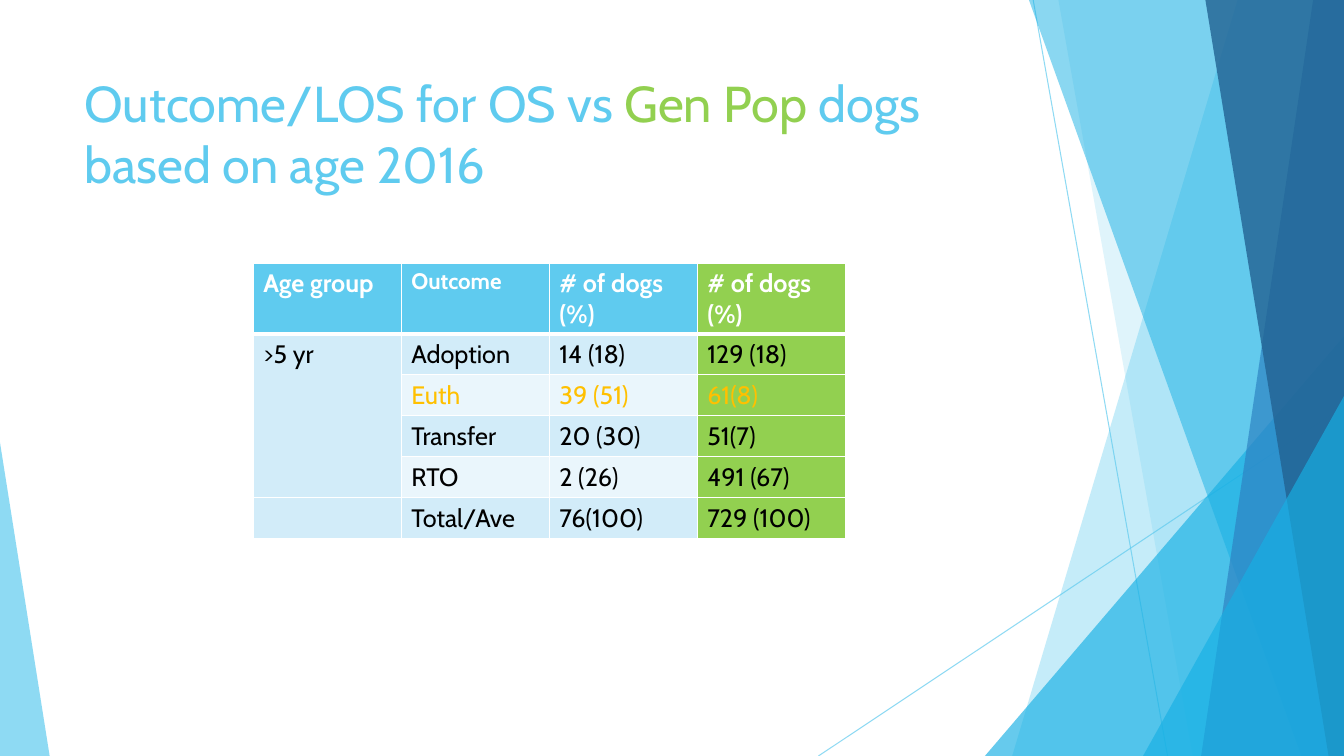
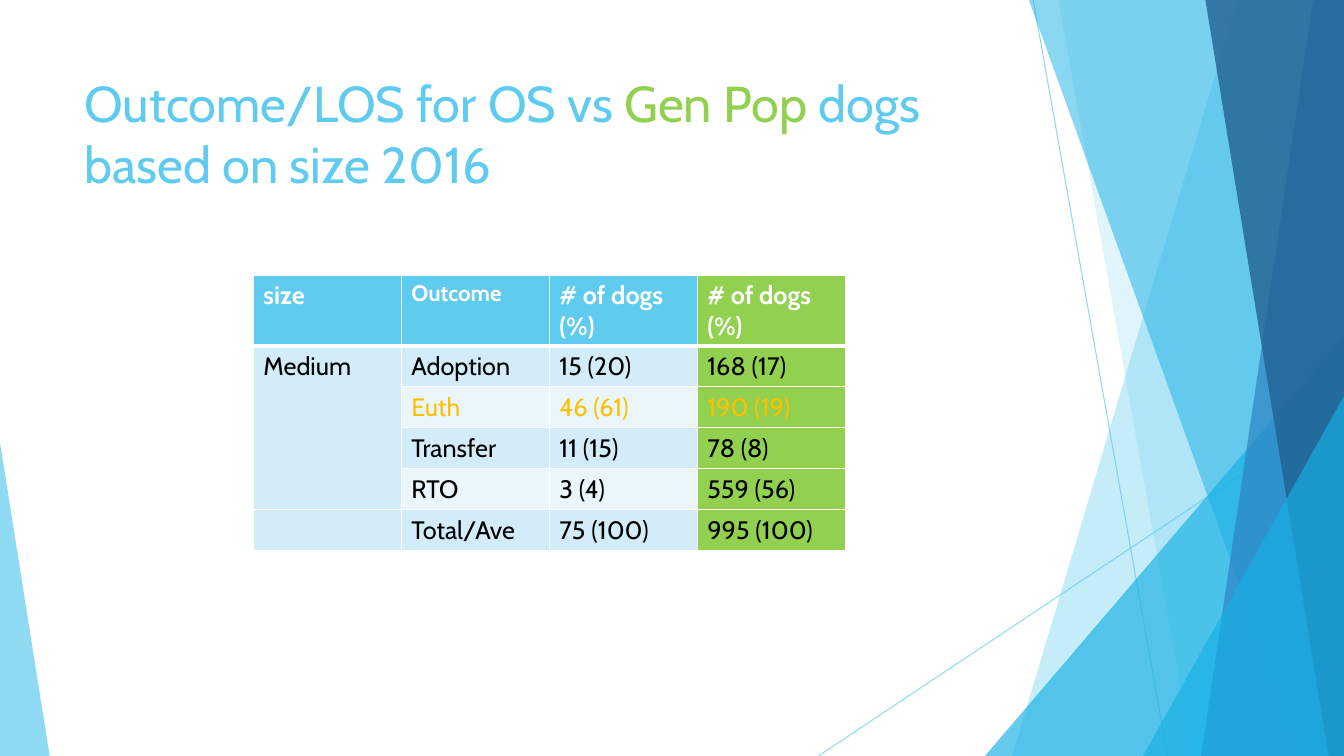
from lxml import etree
from pptx import Presentation
from pptx.dml.color import RGBColor
from pptx.enum.shapes import MSO_CONNECTOR, MSO_SHAPE
from pptx.oxml.ns import qn
from pptx.util import Pt

LINE = MSO_CONNECTOR.STRAIGHT
TRI = MSO_SHAPE.ISOSCELES_TRIANGLE
FONT = "Cabin"
WIDE, HIGH = 960, 540

HEX = {
    "sky": "5FCBEF", "cyan": "17B0E4", "blue": "2E83C3", "navy": "226292",
    "green": "92D050", "gold": "FFC000", "pale": "D2ECF9", "mist": "EAF6FC",
    "white": "FFFFFF", "black": "000000",
}

SLIDES = [
    {
        "topic": "age", "top": 188, "head": "Age group", "group": ">5 yr",
        "rows": [
            ("Adoption", "14 (18)", "129 (18)"),
            ("Euth", "39 (51)", "61(8)"),
            ("Transfer", "20 (30)", "51(7)"),
            ("RTO", "2 (26)", "491 (67)"),
            ("Total/Ave", "76(100)", "729 (100)"),
        ],
    },
    {
        "topic": "size", "top": 196.6, "head": "size", "group": "Medium",
        "rows": [
            ("Adoption", "15 (20)", "168 (17)"),
            ("Euth", "46 (61)", "190 (19)"),
            ("Transfer", "11 (15)", "78 (8)"),
            ("RTO", "3 (4)", "559 (56)"),
            ("Total/Ave", "75 (100)", "995 (100)"),
        ],
    },
]

RAYS = [(738, 0, 834, HIGH), (WIDE, 290, 584.6, HIGH)]
DECOR = [
    ("band", (884, 723), "sky", 36),
    ("band", (756, 852), "sky", 20),
    ("peak", (703.5, 240, 256.5, 1), "cyan", 66),
    ("band", (735, 929.5), "cyan", 50),
    ("band", (938, 858), "blue", 70),
    ("band", (861, 949), "navy", 80),
    ("peak", (816.5, 283, 143.5, 1), "cyan", 66),
    ("peak", (0, 316, 35.5, 0), "sky", 70),
]

COL, HEAD, ROW = 105.7, 50, 29.3


def rgb(name):
    return RGBColor.from_string(HEX[name])


def fade(node, part):
    tone = next(node.iter(qn("a:srgbClr")))
    etree.SubElement(tone, qn("a:alpha"), val=str(part * 1000))


def add_ray(slide, ends):
    ray = slide.shapes.add_connector(LINE, *map(Pt, ends))
    ray.line.color.rgb = rgb("sky")
    ray.line.width = Pt(0.75)
    props = ray._element.spPr
    fade(props, 70)
    etree.SubElement(props, qn("a:effectLst"))


def add_band(slide, top, base):
    path = slide.shapes.build_freeform(Pt(top), 0)
    corners = [(WIDE, 0), (WIDE, HIGH), (base, HIGH)]
    path.add_line_segments([(Pt(x), Pt(y)) for x, y in corners])
    return path.convert_to_shape()


def add_peak(slide, left, top, width, tip):
    box = map(Pt, (left, top, width, HIGH - top))
    peak = slide.shapes.add_shape(TRI, *box)
    peak.adjustments[0] = tip
    return peak


def add_decor(slide):
    for ends in RAYS:
        add_ray(slide, ends)
    makers = {"band": add_band, "peak": add_peak}
    for kind, place, color, part in DECOR:
        shape = makers[kind](slide, *place)
        shape.shadow.inherit = False
        shape.fill.solid()
        shape.fill.fore_color.rgb = rgb(color)
        shape.line.fill.background()
        fade(shape._element.spPr, part)


def add_title(slide, topic):
    box = slide.shapes.add_textbox(Pt(53.3), Pt(48), Pt(677), Pt(104))
    frame = box.text_frame
    frame.word_wrap = True
    para = frame.paragraphs[0]
    para.font.name, para.font.size = FONT, Pt(36)
    for text, color in [
        ("Outcome/LOS for OS vs ", "sky"),
        ("Gen Pop ", "green"),
        (f"dogs based on {topic} 2016", "sky"),
    ]:
        run = para.add_run()
        run.text = text
        run.font.color.rgb = rgb(color)


def add_edges(cell, row):
    props = cell._tc.get_or_add_tcPr()
    thick = {"lnT": row == 1, "lnB": row == 0}
    for side in ("lnL", "lnR", "lnT", "lnB"):
        width = Pt(3 if thick.get(side) else 1)
        edge = etree.SubElement(props, qn(f"a:{side}"), w=str(width))
        fill = etree.SubElement(edge, qn("a:solidFill"))
        etree.SubElement(fill, qn("a:srgbClr"), val=HEX["white"])


def set_cell(cell, text, row, size, color, fill):
    add_edges(cell, row)
    cell.fill.solid()
    cell.fill.fore_color.rgb = rgb(fill)
    cell.text = text
    font = cell.text_frame.paragraphs[0].font
    font.name, font.size, font.bold = FONT, Pt(size), row == 0
    font.color.rgb = rgb(color)


def add_grid(slide, data):
    heads = (data["head"], "Outcome", "# of dogs (%)", "# of dogs (%)")
    firsts = [data["group"]] + [""] * (len(data["rows"]) - 1)
    cells = [heads] + [(a, *rest) for a, rest in zip(firsts, data["rows"])]
    rows, cols = len(cells), len(heads)
    size = (COL * cols, HEAD + ROW * (rows - 1))
    place = map(Pt, (181, data["top"], *size))
    table = slide.shapes.add_table(rows, cols, *place).table
    table.first_row = table.horz_banding = False
    for col in table.columns:
        col.width = Pt(COL)
    for r, texts in enumerate(cells):
        table.rows[r].height = Pt(ROW if r else HEAD)
        color = "gold" if texts[1] == "Euth" else "black" if r else "white"
        for c, text in enumerate(texts):
            if c == cols - 1:
                fill = "green"
            elif r == 0:
                fill = "sky"
            else:
                fill = "mist" if c and r % 2 == 0 else "pale"
            points = 16 if text == "Outcome" else 18
            set_cell(table.cell(r, c), text, r, points, color, fill)
    table.cell(1, 0).merge(table.cell(rows - 2, 0))


def main():
    deck = Presentation()
    deck.slide_width, deck.slide_height = Pt(WIDE), Pt(HIGH)
    for data in SLIDES:
        slide = deck.slides.add_slide(deck.slide_layouts[6])
        add_decor(slide)
        add_title(slide, data["topic"])
        add_grid(slide, data)
    deck.save("out.pptx")


if __name__ == "__main__":
    main()
